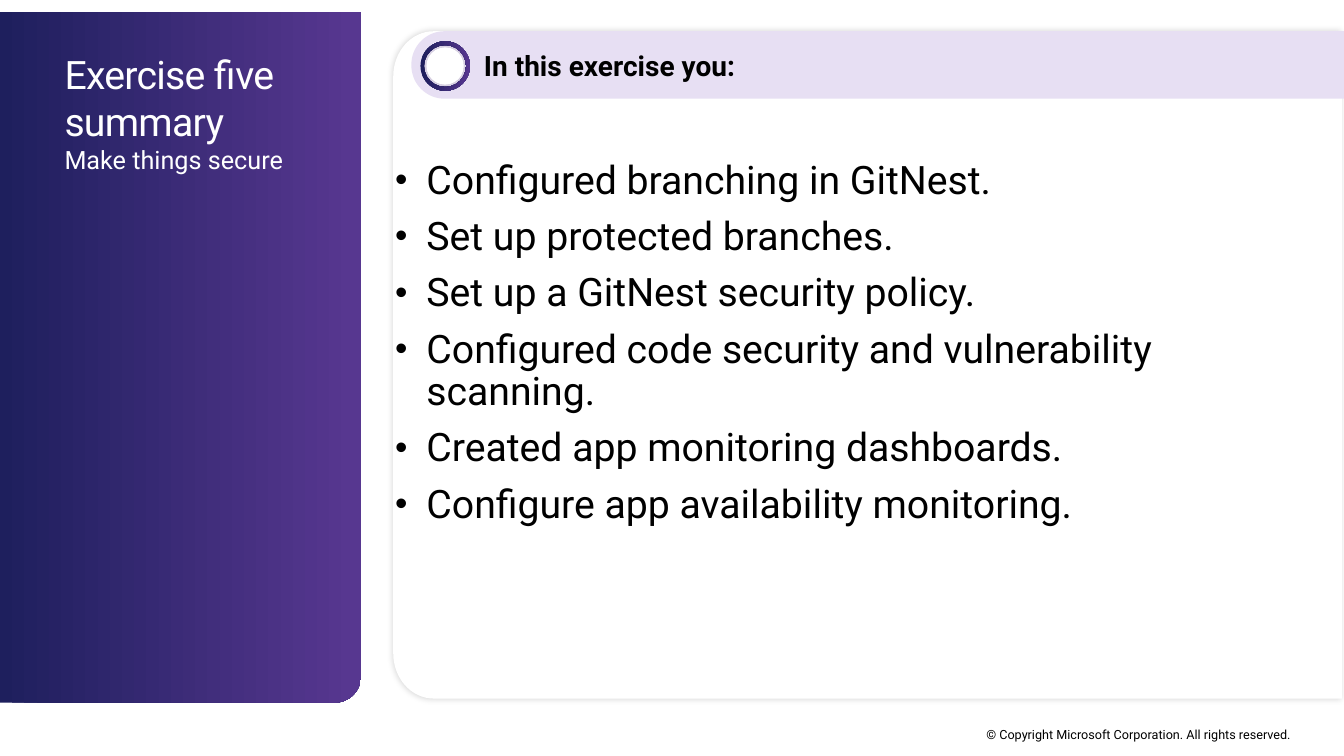
from math import cos, radians, sin

from lxml import etree
from pptx import Presentation
from pptx.dml.color import RGBColor
from pptx.enum.shapes import MSO_SHAPE
from pptx.enum.text import MSO_ANCHOR, PP_ALIGN
from pptx.oxml.ns import qn
from pptx.util import Inches, Pt

DONUT, OVAL = MSO_SHAPE.DONUT, MSO_SHAPE.OVAL
TOP, MIDDLE = MSO_ANCHOR.TOP, MSO_ANCHOR.MIDDLE
LEFT, CENTER = PP_ALIGN.LEFT, PP_ALIGN.CENTER

FONT = "Roboto"
BLACK, WHITE, LAVENDER = "000000", "FFFFFF", "E7DFF3"
GRADIENT = ((0, "1E1F5D"), (0.98, "573790"))
ARC_STEPS = 16

ACHIEVEMENTS = (
    "Configured branching in GitNest.",
    "Set up protected branches.",
    "Set up a GitNest security policy.",
    "Configured code security and vulnerability scanning.",
    "Created app monitoring dashboards.",
    "Configure app availability monitoring.",
)


def rgb(value):
    """Turn a hex string into a colour."""
    return RGBColor.from_string(value)


def paint(shape, fill):
    """Fill a shape with a colour or with gradient stops, without outline."""
    shape.shadow.inherit = False
    shape.line.fill.background()
    if isinstance(fill, str):
        shape.fill.solid()
        shape.fill.fore_color.rgb = rgb(fill)
        return
    shape.fill.gradient()
    shape.fill.gradient_angle = 0
    for stop, (position, colour) in zip(shape.fill.gradient_stops, fill):
        stop.position = position
        stop.color.rgb = rgb(colour)


def add_glow(shape):
    """Give a painted shape a soft, centred shadow."""
    effects = shape._element.spPr.find(qn("a:effectLst"))
    shadow = etree.SubElement(effects, qn("a:outerShdw"), blurRad=str(Pt(4)), dist="0",
                              algn="ctr", rotWithShape="0")
    colour = etree.SubElement(shadow, qn("a:srgbClr"), val=BLACK)
    etree.SubElement(colour, qn("a:alpha"), val="15000")


def add_panel(slide, box, radii, rounded, fill):
    """Draw a rectangle whose named corners are rounded."""
    left, top, width, height = box
    rx, ry = radii
    right, bottom = left + width, top + height
    corners = {
        "top left": (left, top, 1, 1, 180),
        "top right": (right, top, -1, 1, 270),
        "bottom right": (right, bottom, -1, -1, 0),
        "bottom left": (left, bottom, 1, -1, 90),
    }
    points = []
    for name, (x, y, inward_x, inward_y, start) in corners.items():
        if name not in rounded:
            points.append((Inches(x), Inches(y)))
            continue
        for step in range(ARC_STEPS + 1):
            angle = radians(start + 90 * step / ARC_STEPS)
            points.append((Inches(x + rx * (inward_x + cos(angle))),
                           Inches(y + ry * (inward_y + sin(angle)))))
    outline = slide.shapes.build_freeform(*points[0])
    outline.add_line_segments(points[1:], close=True)
    panel = outline.convert_to_shape()
    paint(panel, fill)
    return panel


def add_disc(slide, kind, box, fill):
    """Draw a round preset shape."""
    disc = slide.shapes.add_shape(kind, *map(Inches, box))
    paint(disc, fill)
    return disc


def set_frame(frame, anchor=TOP, left_inset=0):
    """Set wrapping, anchor and insets of a text frame."""
    settings = {"word_wrap": True, "vertical_anchor": anchor, "margin_left": Inches(left_inset),
                "margin_right": 0, "margin_top": 0, "margin_bottom": 0}
    for name, value in settings.items():
        setattr(frame, name, value)
    return frame


def add_text(slide, box, anchor=TOP):
    """Add an empty text box and return its frame."""
    return set_frame(slide.shapes.add_textbox(*map(Inches, box)).text_frame, anchor)


def add_run(paragraph, text, size, colour=BLACK, bold=False):
    """Add formatted text to a paragraph."""
    run = paragraph.add_run()
    run.text = text
    for name, value in {"name": FONT, "size": Pt(size), "bold": bold}.items():
        setattr(run.font, name, value)
    run.font.color.rgb = rgb(colour)
    return run


def add_bullets(frame, items, size, indent):
    """Write a bulleted list with a hanging indent."""
    for index, item in enumerate(items):
        paragraph = frame.add_paragraph() if index else frame.paragraphs[0]
        paragraph.line_spacing = 0.9
        paragraph.space_before = Pt(10 if index else 0)
        properties = paragraph._p.get_or_add_pPr()
        properties.set("marL", str(Inches(indent)))
        properties.set("indent", str(-Inches(indent)))
        etree.SubElement(properties, qn("a:buSzPct"), val="90000")
        etree.SubElement(properties, qn("a:buFont"), typeface="Arial")
        etree.SubElement(properties, qn("a:buChar"), char="•")
        add_run(paragraph, item, size)


def main():
    """Build the exercise summary slide."""
    deck = Presentation()
    deck.slide_width, deck.slide_height = Inches(13.33), Inches(7.5)
    slide = deck.slides.add_slide(deck.slide_layouts[6])

    copyright_line = add_text(slide, (9.04, 7.21, 4.5, 0.15), MIDDLE).paragraphs[0]
    copyright_line.alignment = CENTER
    add_run(copyright_line, "© Copyright Microsoft Corporation. All rights reserved.", 9)

    add_panel(slide, (0, 0.12, 3.58, 6.85), (0.26, 0.26), {"bottom right"}, GRADIENT)
    title = add_text(slide, (0.64, 0.5, 2.94, 1.25)).paragraphs[0]
    heading = add_run(title, "Exercise five summary", 28, WHITE)
    heading._r.get_or_add_rPr().set("spc", "-50")
    title.add_line_break()
    add_run(title, "Make things secure", 18, WHITE)

    left_corners = {"top left", "bottom left"}
    card = add_panel(slide, (3.9, 0.31, 9.41, 6.62), (0.4, 0.45), left_corners, WHITE)
    add_glow(card)
    header = add_panel(slide, (4.08, 0.31, 9.25, 0.67), (0.33, 0.33), left_corners, LAVENDER)
    intro = set_frame(header.text_frame, MIDDLE, 0.72).paragraphs[0]
    intro.alignment = LEFT
    add_run(intro, "In this exercise you:", 20, bold=True)

    ring = add_disc(slide, DONUT, (4.17, 0.41, 0.49, 0.49), GRADIENT)
    ring.adjustments[0] = 0.075
    add_glow(add_disc(slide, OVAL, (4.23, 0.47, 0.37, 0.37), WHITE))

    add_bullets(add_text(slide, (3.92, 1.59, 9.04, 4.1)), ACHIEVEMENTS, 28, 0.31)
    deck.save("out.pptx")


if __name__ == "__main__":
    main()
